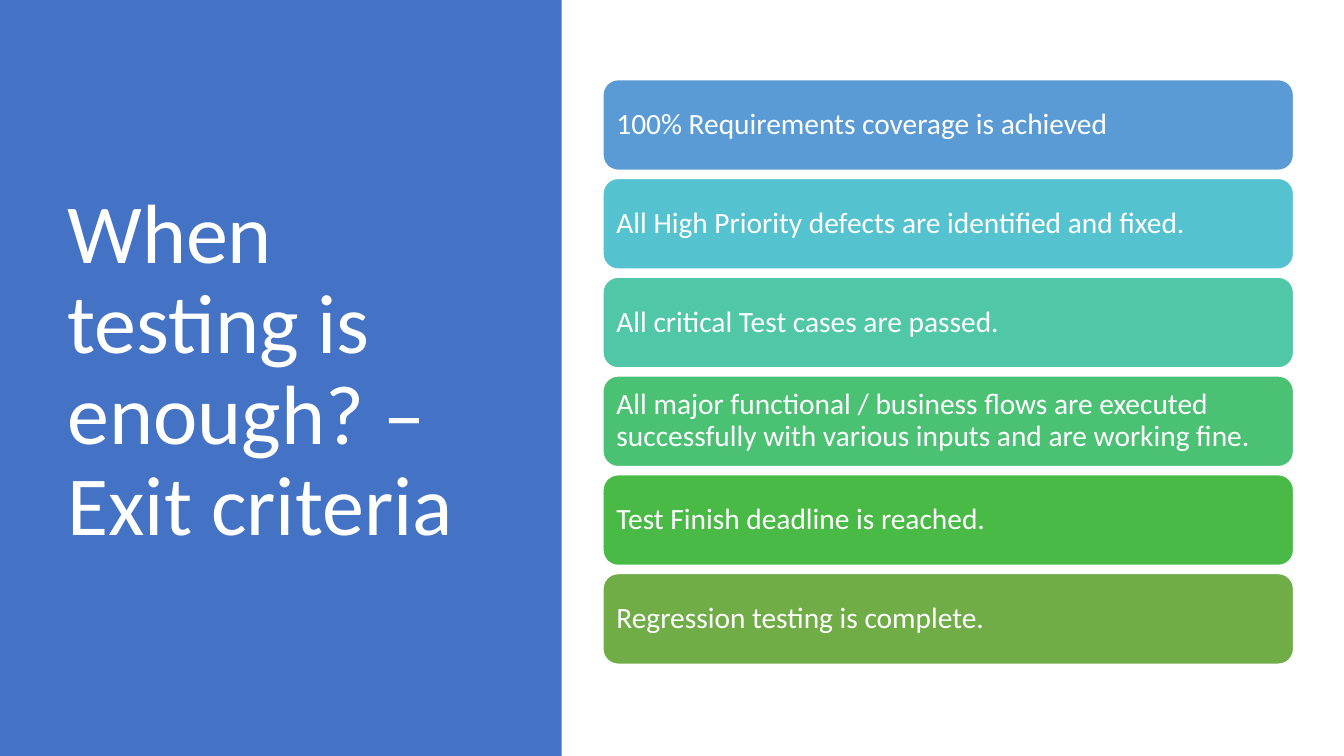
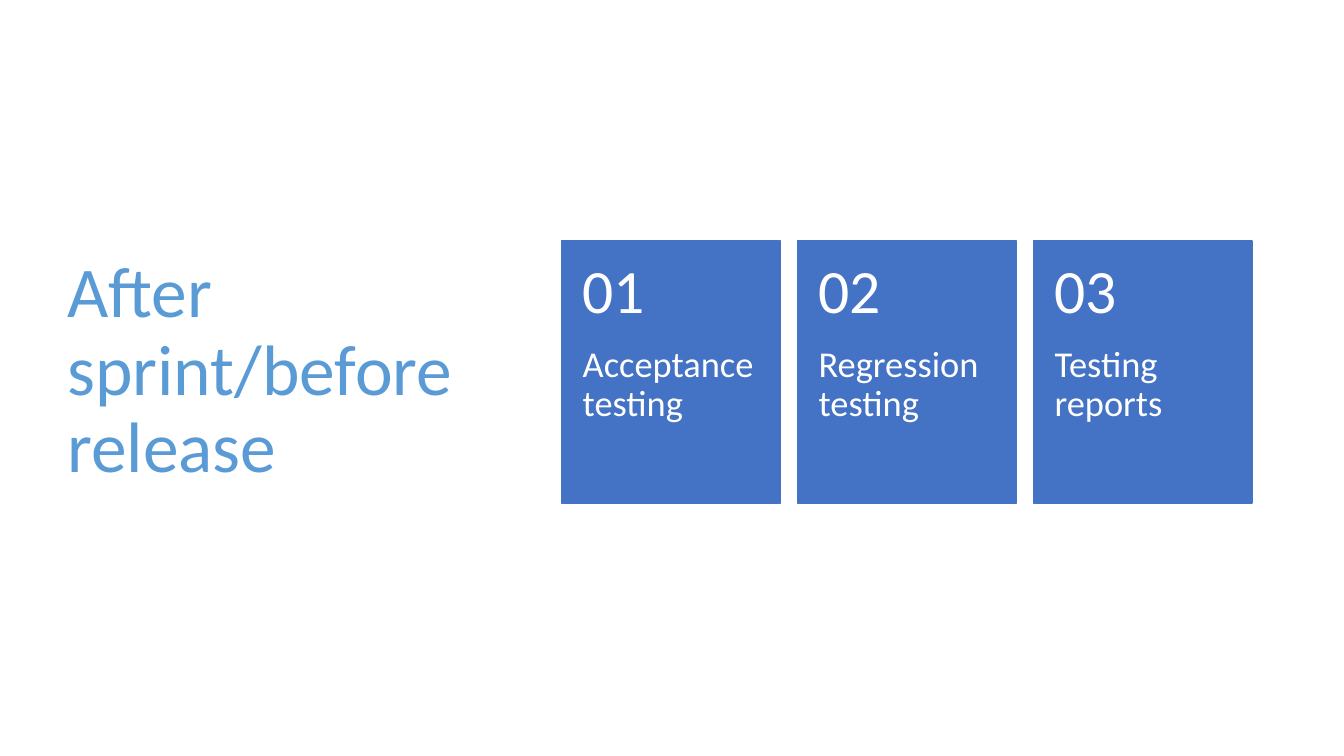
"""Build two slides on exit criteria and release testing."""
from pptx import Presentation
from pptx.dml.color import RGBColor
from pptx.enum import shapes, text
from pptx.util import Inches, Pt

COLOURS = {"white": "FFFFFF", "panel": "4472C4", "accent": "5B9BD5"}
FONT = "Calibri"
TITLE_AREA = (0.57, 0.68, 4.16, 6.02)
PANEL_WIDTH = 5.57


def write(box, words, size, colour="white", anchor=text.MSO_ANCHOR.MIDDLE,
          insets=(0.1, 0.05, 0.1, 0.05)):
    frame = box.text_frame
    frame.word_wrap = True
    frame.vertical_anchor = anchor
    (frame.margin_left, frame.margin_top,
     frame.margin_right, frame.margin_bottom) = map(Inches, insets)
    para = frame.paragraphs[0]
    para.text = words
    para.alignment = text.PP_ALIGN.LEFT
    para.line_spacing = 0.9
    para.font.name = FONT
    para.font.size = Pt(size)
    para.font.color.rgb = RGBColor.from_string(COLOURS[colour])


def add_block(page, kind, area, fill, line=None):
    block = page.shapes.add_shape(kind, *map(Inches, area))
    block.shadow.inherit = False
    block.fill.solid()
    block.fill.fore_color.rgb = RGBColor.from_string(fill)
    if line:
        block.line.color.rgb = RGBColor.from_string(line)
        block.line.width = Pt(1)
    else:
        block.line.fill.background()
    return block


deck = Presentation()
deck.slide_width, deck.slide_height = Inches(13.33), Inches(7.5)
blank = deck.slide_layouts[6]
rectangle = shapes.MSO_SHAPE.RECTANGLE
rounded = shapes.MSO_SHAPE.ROUNDED_RECTANGLE

criteria_page = deck.slides.add_slide(blank)
add_block(criteria_page, rectangle, (0, 0, PANEL_WIDTH, 7.5), COLOURS["panel"])
release_page = deck.slides.add_slide(blank)

titles = [
    (criteria_page, "When testing is enough? – Exit criteria", 60, "white"),
    (release_page, "After sprint/before release", 51, "accent"),
]
for page, words, size, colour in titles:
    title = page.shapes.add_textbox(*map(Inches, TITLE_AREA))
    write(title, words, size, colour)

criteria = [
    ("100% Requirements coverage is achieved", COLOURS["accent"]),
    ("All High Priority defects are identified and fixed.", "55C3CF"),
    ("All critical Test cases are passed.", "50C8A7"),
    ("All major functional / business flows are executed successfully "
     "with various inputs and are working fine.", "4BC174"),
    ("Test Finish deadline is reached.", "4ABA46"),
    ("Regression testing is complete.", "70AD47"),
]
bar_height, bar_step = 0.9, 0.98
for index, (words, fill) in enumerate(criteria):
    area = (5.98, 0.79 + index * bar_step, 6.85, bar_height)
    bar = add_block(criteria_page, rounded, area, fill, COLOURS["white"])
    write(bar, words, 21, insets=(0.09, 0.09, 0.09, 0.09))

steps = ["Acceptance testing", "Regression testing", "Testing reports"]
card_top, card_width, card_height, card_step = 2.39, 2.17, 2.6, 2.34
number_height = 1.04
for index, words in enumerate(steps):
    left = PANEL_WIDTH + index * card_step
    card = add_block(release_page, rectangle,
                     (left, card_top, card_width, card_height),
                     COLOURS["panel"], COLOURS["panel"])
    write(card, words, 26, anchor=text.MSO_ANCHOR.TOP,
          insets=(0.21, number_height, 0.21, 0.36))
    number = release_page.shapes.add_textbox(
        *map(Inches, (left, card_top, card_width, number_height)))
    write(number, f"{index + 1:02}", 44, insets=(0.21, 0.18, 0.21, 0.18))

deck.save("out.pptx")
